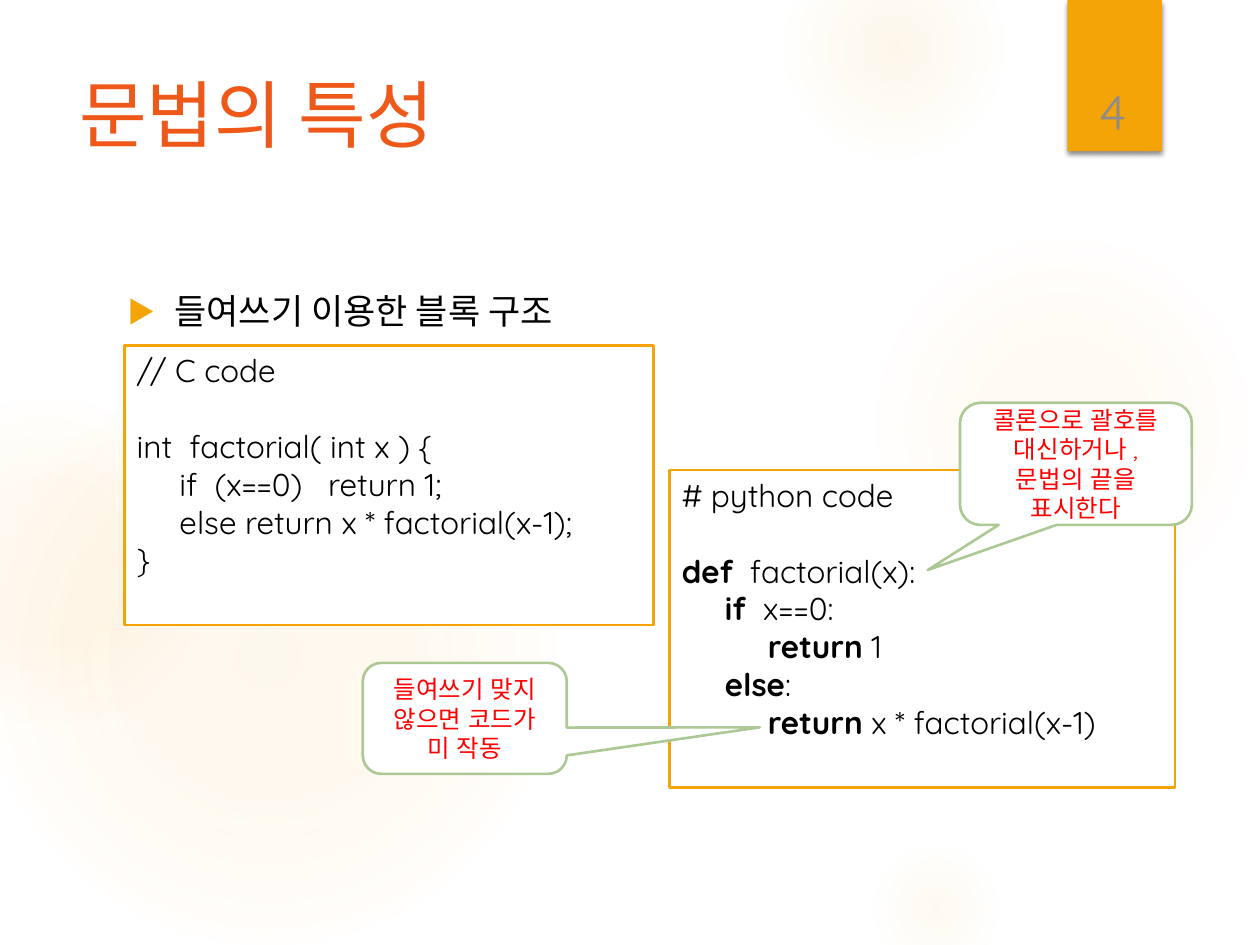
from lxml.etree import SubElement
from pptx import Presentation
from pptx.dml.color import RGBColor
from pptx.enum.shapes import MSO_SHAPE as Preset
from pptx.enum.text import MSO_ANCHOR as Anchor, MSO_AUTO_SIZE as AutoSize, PP_ALIGN as Align
from pptx.oxml import parse_xml
from pptx.oxml.ns import nsdecls, qn
from pptx.util import Pt

ORANGE = RGBColor(0xF5, 0xA4, 0x08)
TITLE_ORANGE = RGBColor(0xEE, 0x58, 0x18)
GLOW = RGBColor(0xFA, 0xC9, 0x6A)
GREEN = RGBColor(0xAC, 0xC9, 0x95)
RED = RGBColor(0xFF, 0x00, 0x00)
GRAY = RGBColor(0x8C, 0x8C, 0x8C)
BLACK = RGBColor(0x00, 0x00, 0x00)
WHITE = RGBColor(0xFF, 0xFF, 0xFF)
KOREAN_FONT = "Noto Sans CJK KR"
LATIN_FONT = "Quicksand"

# left, top, diameter, then (position, opacity) stops in percent
GLOWS = [
    (496, 132, 222, [(0, 7), (36, 6), (69, 0)]),
    (448, -36, 126, [(0, 14), (36, 7), (73, 0)]),
    (496, 480, 78, [(0, 10), (31, 5), (66, 0)]),
    (-12, 210, 330, [(0, 11), (36, 10), (75, 0)]),
    (-66, 228, 186, [(0, 8), (36, 8), (72, 0)]),
]

# Text between double asterisks is bold.
PYTHON_CODE = """# python code

**def**  factorial(x):
    ** if  **x==0:
          **return** 1
     **else**:
          **return** x * factorial(x-1)"""

C_CODE = """// C code

int  factorial( int x ) {
     if  (x==0)   return 1;
     else return x * factorial(x-1);
}"""


def place(shape, left, top, width, height):
    shape.left, shape.top, shape.width, shape.height = map(Pt, (left, top, width, height))


def format_font(font, size, color, name, bold=False):
    font.size, font.name, font.bold = Pt(size), name, bold
    font.color.rgb = color


def write_text(shape, text, size, color, name=LATIN_FONT, align=Align.LEFT, anchor=Anchor.TOP):
    """Fill a shape with one paragraph per line, bold between double asterisks."""
    frame = shape.text_frame
    frame.word_wrap = True
    frame.auto_size = AutoSize.NONE
    frame.vertical_anchor = anchor
    for index, line in enumerate(text.split("\n")):
        paragraph = frame.add_paragraph() if index else frame.paragraphs[0]
        paragraph.alignment = align
        paragraph.space_before = Pt(0)
        format_font(paragraph.font, size, color, name)
        for part_index, part in enumerate(line.split("**")):
            if part:
                run = paragraph.add_run()
                run.text = part
                format_font(run.font, size, color, name, bold=part_index % 2 == 1)
                SubElement(run.font._element, qn("a:ea"), typeface=name)


def add_shape(slide, preset, box, fill, line=None):
    shape = slide.shapes.add_shape(preset, *map(Pt, box))
    shape.shadow.inherit = False
    shape.fill.solid()
    shape.fill.fore_color.rgb = fill
    if line is None:
        shape.line.fill.background()
    else:
        shape.line.color.rgb = line
        shape.line.width = Pt(1.5)
    return shape


def add_glow(slide, left, top, diameter, stops):
    shape = add_shape(slide, Preset.OVAL, (left, top, diameter, diameter), GLOW)
    stop_xml = "".join(
        f'<a:gs pos="{position * 1000}"><a:srgbClr val="{GLOW}">'
        f'<a:alpha val="{opacity * 1000}"/></a:srgbClr></a:gs>'
        for position, opacity in stops
    )
    gradient = parse_xml(
        f'<a:gradFill {nsdecls("a")} rotWithShape="1"><a:gsLst>{stop_xml}</a:gsLst>'
        '<a:path path="circle"><a:fillToRect l="50000" t="50000" r="50000" b="50000"/>'
        "</a:path></a:gradFill>"
    )
    properties = shape._element.spPr
    properties.replace(properties.find(qn("a:solidFill")), gradient)


def add_number_tab(slide, number):
    tab = add_shape(slide, Preset.RECTANGLE, (610, 0, 54, 86.4), ORANGE)
    effects = tab._element.spPr.find(qn("a:effectLst"))
    effects.append(parse_xml(
        f'<a:outerShdw {nsdecls("a")} blurRad="{Pt(3)}" dist="{Pt(2)}" dir="5400000" '
        'rotWithShape="0"><a:srgbClr val="000000"><a:alpha val="45000"/>'
        "</a:srgbClr></a:outerShdw>"
    ))
    label = slide.shapes.add_textbox(*map(Pt, (611.3, 23, 49.7, 60.5)))
    write_text(label, number, 28, GRAY, align=Align.CENTER, anchor=Anchor.BOTTOM)


def fill_placeholder(slide, placeholder, box, text, size, color):
    """Write into a template placeholder and bring it in front of the background."""
    place(placeholder, *box)
    write_text(placeholder, text, size, color, KOREAN_FONT)
    slide.shapes._spTree.append(placeholder._element)


def set_bullet(paragraph):
    properties = paragraph._p.get_or_add_pPr()
    properties.set("marL", str(Pt(27)))
    properties.set("indent", str(-Pt(27)))
    bullet = [
        f'<a:buClr {nsdecls("a")}><a:srgbClr val="{ORANGE}"/></a:buClr>',
        f'<a:buSzPct {nsdecls("a")} val="80000"/>',
        f'<a:buFont {nsdecls("a")} typeface="{KOREAN_FONT}"/>',
        f'<a:buChar {nsdecls("a")} char="▶"/>',
    ]
    following = properties.find(qn("a:defRPr"))
    for xml in bullet:
        following.addprevious(parse_xml(xml))


def add_code_box(slide, box, code):
    shape = add_shape(slide, Preset.RECTANGLE, box, WHITE, ORANGE)
    write_text(shape, code, 18, BLACK)


def add_callout(slide, box, tip, text):
    """Add a speech bubble; tip is the pointer offset as a share of its size."""
    shape = add_shape(slide, Preset.ROUNDED_RECTANGULAR_CALLOUT, box, WHITE, GREEN)
    for index, value in enumerate((*tip, 0.167)):
        shape.adjustments[index] = value
    write_text(shape, text, 14, RED, align=Align.CENTER, anchor=Anchor.MIDDLE)


def main():
    presentation = Presentation()
    presentation.slide_width, presentation.slide_height = Pt(720), Pt(540)
    slide = presentation.slides.add_slide(presentation.slide_layouts[1])

    for glow in GLOWS:
        add_glow(slide, *glow)
    title, body = slide.shapes.title, slide.placeholders[1]
    fill_placeholder(slide, title, (38, 36, 556, 110), "문법의 특성", 42, TITLE_ORANGE)
    fill_placeholder(slide, body, (65.5, 162, 528.5, 330.5), "들여쓰기 이용한 블록 구조", 20, BLACK)
    set_bullet(body.text_frame.paragraphs[0])

    add_code_box(slide, (382.5, 268.5, 289, 181.5), PYTHON_CODE)
    add_code_box(slide, (71, 197.3, 302.4, 160), C_CODE)
    add_callout(slide, (207.3, 378.8, 116.6, 63.4), (1.446, 0.081),
                "들여쓰기 맞지 않으면 코드가 미 작동")
    add_callout(slide, (548.6, 230.2, 132.5, 69.8), (-0.639, 0.869),
                "콜론으로 괄호를 대신하거나, 문법의 끝을 표시한다")
    add_number_tab(slide, "4")

    presentation.save("out.pptx")


if __name__ == "__main__":
    main()
